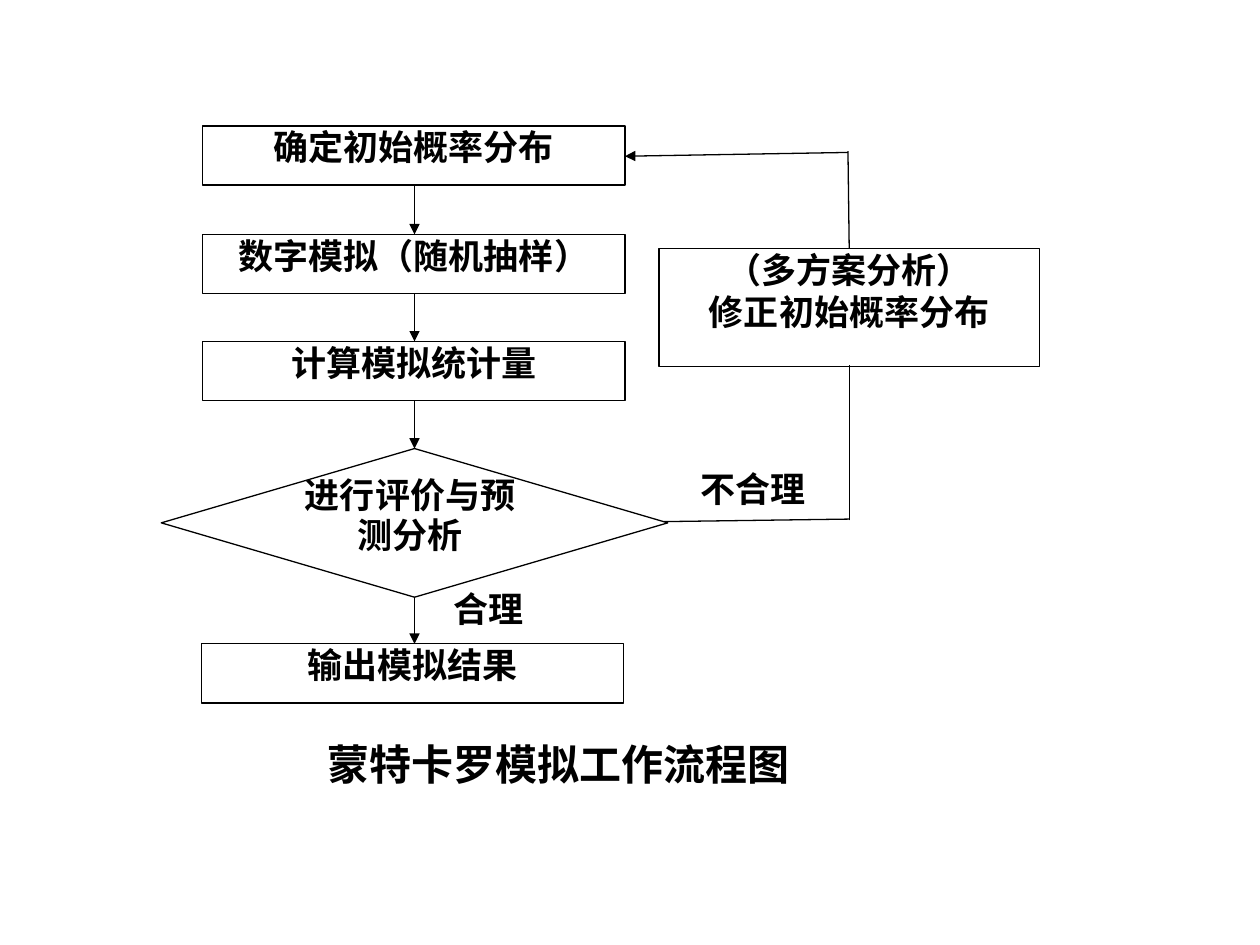
"""Build the Monte Carlo simulation flowchart slide."""
from pptx import Presentation
from pptx import util as u
from pptx.dml import color
from pptx.enum import shapes, text
from pptx.oxml import ns, xmlchemy

THEME = {"font": "Times New Roman", "ink": "000000", "fill": "FFFFFF",
         "body": 20, "title": 24, "line": 0.75}
RECT = shapes.MSO_SHAPE.RECTANGLE
DIAMOND = shapes.MSO_SHAPE.DIAMOND

WIDE, HIGH = 3.35, 0.47
AXIS = 3.29
STEPS = [
    ("确定初始概率分布", 1.61, 1.0),
    ("数字模拟（随机抽样）", 1.61, 1.86),
    ("计算模拟统计量", 1.61, 2.71),
    ("输出模拟结果", 1.6, 5.11),
]
TEST = (1.28, 3.56, 4.02, 1.18)
REVISE = ("（多方案分析）\n修正初始概率分布", (5.23, 1.97, 3.02, 0.94))
LABELS = [
    ("进行评价与预测分析", (2.31, 3.78, 1.89, 0.94), "body", 0.96),
    ("合理", (3.37, 4.66, 1.01, HIGH), "body", None),
    ("不合理", (5.47, 3.71, 1.01, HIGH), "body", None),
    ("蒙特卡罗模拟工作流程图", (1.25, 5.86, 6.37, HIGH), "title", None),
]
LOOP = [
    ((5.27, 4.14), (6.74, 4.12), False),
    ((6.74, 4.13), (6.74, 2.9), False),
    ((6.74, 1.97), (6.73, 1.2), False),
    ((6.73, 1.21), (4.96, 1.24), True),
]


def rgb(key):
    return color.RGBColor.from_string(THEME[key])


def write(shape, words, size="body", space=None):
    frame = shape.text_frame
    frame.word_wrap = True
    frame.vertical_anchor = text.MSO_ANCHOR.TOP
    frame.margin_left = frame.margin_right = 0
    frame.margin_top = frame.margin_bottom = 0
    frame.text = words
    for para in frame.paragraphs:
        para.alignment = text.PP_ALIGN.CENTER
        para.line_spacing = space
        for run in para.runs:
            font = run.font
            font.name = THEME["font"]
            font.size = u.Pt(THEME[size])
            font.bold = True
            font.color.rgb = rgb("ink")


def stroke(line):
    line.color.rgb = rgb("ink")
    line.width = u.Pt(THEME["line"])


def box(slide, kind, area, words=None):
    shape = slide.shapes.add_shape(kind, *map(u.Inches, area))
    shape.shadow.inherit = False
    shape.fill.solid()
    shape.fill.fore_color.rgb = rgb("fill")
    stroke(shape.line)
    if words:
        write(shape, words)


def link(slide, start, end, arrow=True):
    line = slide.shapes.add_connector(
        shapes.MSO_CONNECTOR.STRAIGHT, *map(u.Inches, start + end))
    stroke(line.line)
    props = line._element.spPr
    props.append(xmlchemy.OxmlElement("a:effectLst"))
    if arrow:
        tail = xmlchemy.OxmlElement("a:tailEnd")
        tail.set("type", "triangle")
        props.find(ns.qn("a:ln")).append(tail)


def main():
    deck = Presentation()
    deck.slide_width, deck.slide_height = u.Inches(10), u.Inches(7.5)
    slide = deck.slides.add_slide(deck.slide_layouts[6])

    for words, left, top in STEPS:
        box(slide, RECT, (left, top, WIDE, HIGH), words)
    box(slide, DIAMOND, TEST)
    box(slide, RECT, REVISE[1], REVISE[0])

    spans = [(top, top + HIGH) for _, _, top in STEPS]
    spans.insert(3, (TEST[1], TEST[1] + TEST[3]))
    for (_, low), (top, _) in zip(spans, spans[1:]):
        link(slide, (AXIS, low), (AXIS, top))
    for start, end, arrow in LOOP:
        link(slide, start, end, arrow)

    for words, area, size, space in LABELS:
        label = slide.shapes.add_textbox(*map(u.Inches, area))
        write(label, words, size, space)
    deck.save("out.pptx")


if __name__ == "__main__":
    main()
